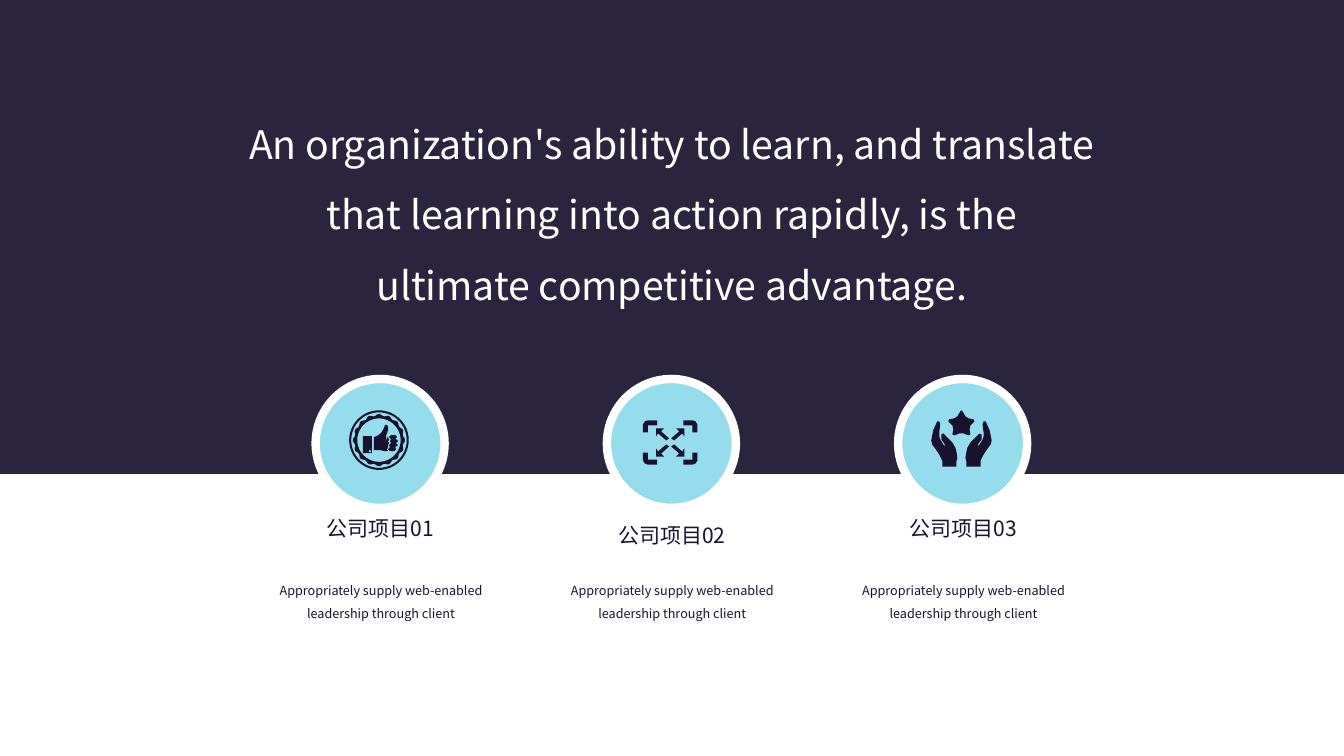
from math import cos, pi, sin

from lxml import etree
from pptx import Presentation
from pptx.dml.color import RGBColor
from pptx.enum.shapes import MSO_SHAPE
from pptx.enum.text import MSO_ANCHOR, PP_ALIGN
from pptx.oxml.ns import qn
from pptx.util import Cm, Pt

RECTANGLE, OVAL = MSO_SHAPE.RECTANGLE, MSO_SHAPE.OVAL
TOP, MIDDLE = MSO_ANCHOR.TOP, MSO_ANCHOR.MIDDLE
CENTER = PP_ALIGN.CENTER
COLORS = {"ink": "19122F", "sky": "95DDEC", "white": "FFFFFF"}
FONT = "Noto Sans CJK SC"

prs = Presentation()
prs.slide_width, prs.slide_height = Cm(33.87), Cm(19.05)
slide = prs.slides.add_slide(prs.slide_layouts[6])
shapes = slide.shapes


def add_text(text, left, top, width, height, size, color, spacing, before=0, anchor=TOP):
    frame = shapes.add_textbox(Cm(left), Cm(top), Cm(width), Cm(height)).text_frame
    frame.word_wrap = True
    frame.vertical_anchor = anchor
    paragraph = frame.paragraphs[0]
    paragraph.alignment = CENTER
    paragraph.line_spacing = spacing
    paragraph.space_before = Pt(before)
    run = paragraph.add_run()
    run.text = text
    run.font.size = Pt(size)
    run.font.name = FONT
    run.font.color.rgb = RGBColor.from_string(COLORS[color])
    etree.SubElement(run.font._element, qn("a:ea")).set("typeface", FONT)


def ring(radius, ripple=0, x=0, y=0):
    """Closed round outline with 16 optional scallops."""
    angles = [2 * pi * step / 128 for step in range(128)]
    return [(x + (radius + ripple * cos(16 * a)) * sin(a),
             y - (radius + ripple * cos(16 * a)) * cos(a)) for a in angles]


# Dark upper band
band = shapes.add_shape(RECTANGLE, 0, 0, prs.slide_width, Cm(11.94))
band.shadow.inherit = False
band.fill.solid()
band.fill.fore_color.rgb = RGBColor.from_string(COLORS["ink"])
band.line.fill.background()
ink = band.fill._xPr.find(qn("a:solidFill"))[0]
etree.SubElement(ink, qn("a:alpha")).set("val", "92000")

# Badge icon: rings around a thumb, outlines relative to the icon centre
cuff = [(-16, 13), (-7, 13), (-7, -4), (-16, -4)]
thumb = [(8, 9), (9, 11), (6, 11), (1, 10), (-5, 10), (-5, -3), (-2, -4), (2, -7),
         (5, -12), (6, -15), (8, -15), (9, -13), (9, -10), (7, -4), (7, 0), (5, 4),
         (7, 1), (9, -4), (9, -3), (10, 0), (9, 1), (10, 3), (9, 5), (9, 7)]
fingers = [(12, -5), (16, -5), (18, -3), (16, -1), (17, -1), (19, 1), (17, 3),
           (19, 5), (16, 7), (17, 9), (15, 11), (11, 11), (9, 9), (11, 7),
           (10, 5), (12, 3), (11, 1), (12, -1), (10, -3)]
badge = [ring(29.5), ring(27.5), ring(25, 0.9), ring(21.5),
         cuff, ring(1.2, x=-9, y=11), thumb, fingers]

# Expand icon: one corner and one arrow, mirrored into four quadrants
corner = [(-22, -17), (-13, -17), (-13, -22), (-22, -22), (-25, -21),
          (-27, -18), (-27, -10), (-22, -10)]
arrow = [(-9, -11), (-1, -4), (-4, -2), (-12, -9), (-14, -6), (-14, -14), (-6, -14)]
expand = [[(sx * x, sy * y) for x, y in outline]
          for outline in (corner, arrow) for sx in (1, -1) for sy in (1, -1)]

# Care icon: mirrored hands and star
hand = [(-5, 13), (-4, 19), (-5, 23), (-5, 28), (-19, 28), (-19, 22), (-22, 16),
        (-26, 10), (-29, 6), (-30, 2), (-28, -8), (-24, -17), (-22, -17), (-21, -14),
        (-22, -6), (-22, -2), (-21, 1), (-18, 6), (-16, 8), (-17, 5), (-20, 1),
        (-20, -4), (-18, -5), (-14, -1), (-9, 4), (-6, 9)]
half_star = [(0, -28), (1, -27), (4, -22), (7, -20), (12, -19), (13, -17), (9, -13),
             (8, -9), (9, -4), (7, -3), (2, -5)]
star = half_star + [(-x, y) for x, y in half_star[:0:-1]]
care = [hand, [(-x, y) for x, y in hand], star]

# Three columns: circle, icon, heading and caption
CIRCLE = 3.25
items = [("公司项目01", badge, 11.09, 0.9, 10, TOP),
         ("公司项目02", expand, 11.15, 1, 0, MIDDLE),
         ("公司项目03", care, 11.05, 0.9, 10, TOP)]
for column, (heading, icon, icon_y, spacing, before, anchor) in enumerate(items):
    center = 9.58 + 7.34 * column
    circle = shapes.add_shape(OVAL, Cm(center - CIRCLE / 2), Cm(9.55), Cm(CIRCLE), Cm(CIRCLE))
    circle.shadow.inherit = False
    circle.fill.solid()
    circle.fill.fore_color.rgb = RGBColor.from_string(COLORS["sky"])
    circle.line.color.rgb = RGBColor.from_string(COLORS["white"])
    circle.line.width = Pt(6)

    # Ten drawing units for each icon step of 0.0254 cm
    outlines = [[(round(10 * x), round(10 * y)) for x, y in outline] for outline in icon]
    builder = shapes.build_freeform(*outlines[0][0], scale=Cm(0.0254) / 10)
    for number, outline in enumerate(outlines):
        if number:
            builder.move_to(*outline[0])
        builder.add_line_segments(outline[1:], close=True)
    symbol = builder.convert_to_shape(Cm(center - 0.03), Cm(icon_y))
    symbol.shadow.inherit = False
    symbol.fill.solid()
    symbol.fill.fore_color.rgb = RGBColor.from_string(COLORS["ink"])
    symbol.line.fill.background()

    add_text(heading, center - 3.38, 12.93, 6.78, 1.09, 15, "ink", spacing, before, anchor)
    add_text("Appropriately supply web-enabled leadership through client",
             center - 3.5, 14.38, 7.04, 1.35, 9, "ink", 1.5)

# Quotation
add_text("An organization's ability to learn, and translate that learning into action "
         "rapidly, is the ultimate competitive advantage.",
         5.94, 2.31, 21.97, 5.64, 28, "white", 1.5)

prs.save("out.pptx")
